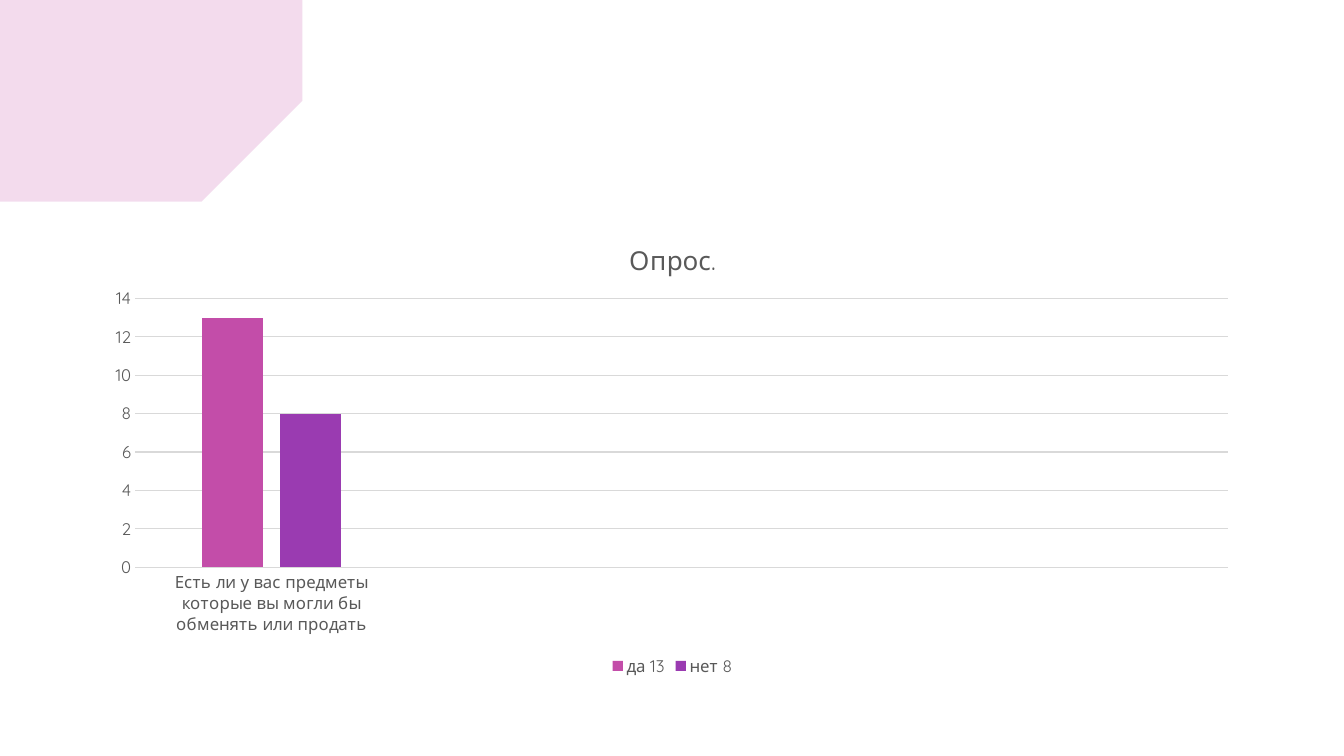
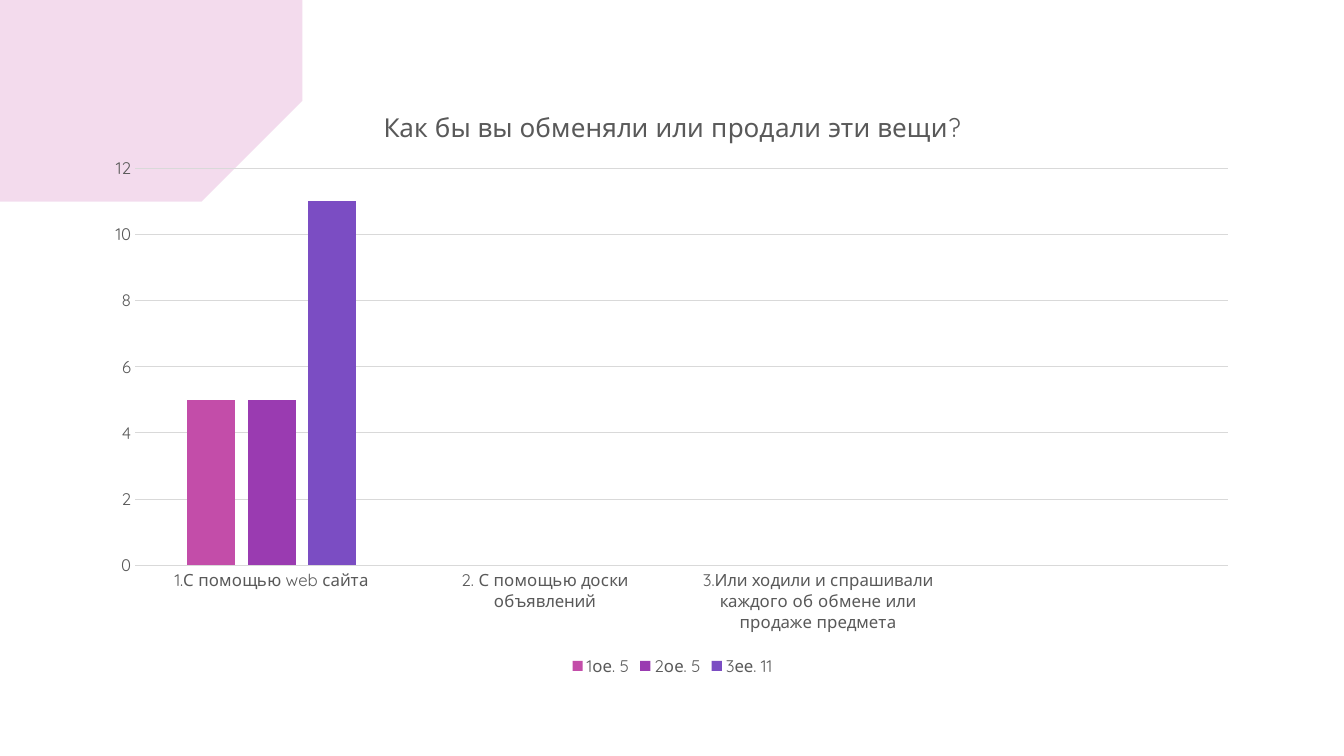
from pptx import Presentation
from pptx.chart.data import CategoryChartData
from pptx.dml.color import RGBColor
from pptx.enum.chart import XL_CHART_TYPE, XL_LEGEND_POSITION, XL_TICK_MARK
from pptx.oxml import parse_xml
from pptx.oxml.ns import nsdecls, qn
from pptx.util import Inches, Pt
from lxml.etree import SubElement

FONT = "Quicksand"
COLORS = {
    "pink": "C34DA9",
    "purple": "9A3BB1",
    "violet": "7B4DC3",
    "text": "595959",
    "grid": "D9D9D9",
}
SERIES_COLORS = ["pink", "purple", "violet"]
CATEGORY_COUNT = 4
CHART_LEFT, CHART_WIDTH, CHART_BOTTOM = 0.92, 11.5, 6.75
PLOT_LEFT, PLOT_WIDTH = 1.34, 10.84

BRUSH_START = (0, 0.34)
BRUSH_EDGE = [
    (0.25, 0.37), (0.66, 0.38), (1.51, 0.38), (1.94, 0.41), (2.68, 0.41),
    (2.8, 0.47), (2.55, 0.54), (2.62, 0.62), (2.38, 0.66), (2.75, 0.74),
    (2.51, 0.75), (2.8, 0.82), (2.9, 0.85), (2.63, 0.88), (3.3, 0.94),
    (3.21, 0.97), (3.18, 1.06), (3.07, 1.11), (2.83, 1.16), (2.74, 1.28),
    (3.08, 1.28), (2.69, 1.38), (2.73, 1.42), (2.52, 1.48), (2.63, 1.48),
    (1.97, 1.72), (1.02, 1.88), (0.65, 1.91), (0, 1.88),
]


def color(name):
    return RGBColor.from_string(COLORS[name])


def add_brush_stroke(page):
    builder = page.shapes.build_freeform(*BRUSH_START, scale=Inches(1))
    builder.add_line_segments(BRUSH_EDGE, close=True)
    stroke = builder.convert_to_shape()
    stroke.shadow.inherit = False
    stroke.line.fill.background()
    stroke.fill.solid()
    stroke.fill.fore_color.rgb = color("pink")
    fill = stroke.fill._xPr.find(qn("a:solidFill"))
    SubElement(fill[0], qn("a:alpha")).set("val", "20000")


def style_font(font, size):
    font.name = FONT
    font.size = Pt(size)
    font.bold = False
    font.color.rgb = color("text")


def style_line(line):
    line.color.rgb = color("grid")
    line.width = Pt(0.75)


def style_axes(chart, maximum):
    for axis in (chart.category_axis, chart.value_axis):
        axis.major_tick_mark = XL_TICK_MARK.NONE
        axis.minor_tick_mark = XL_TICK_MARK.NONE
        style_font(axis.tick_labels.font, 12)
    style_line(chart.category_axis.format.line)
    values = chart.value_axis
    values.format.line.fill.background()
    style_line(values.major_gridlines.format.line)
    values.minimum_scale, values.maximum_scale = 0, maximum
    values.major_unit = 2


def place_plot(chart, x, y, width, height):
    area = chart._chartSpace.find(qn("c:chart")).find(qn("c:plotArea"))
    for layout in area.findall(qn("c:layout")):
        area.remove(layout)
    area.insert(0, parse_xml(
        f'<c:layout {nsdecls("c")}><c:manualLayout>'
        '<c:layoutTarget val="inner"/>'
        '<c:xMode val="edge"/><c:yMode val="edge"/>'
        f'<c:x val="{x:.4f}"/><c:y val="{y:.4f}"/>'
        f'<c:w val="{width:.4f}"/><c:h val="{height:.4f}"/>'
        '</c:manualLayout></c:layout>'))


def add_survey_chart(page, title, categories, answers, top, plot_top,
                     plot_bottom, maximum):
    data = CategoryChartData()
    blanks = [""] * (CATEGORY_COUNT - len(categories))
    data.categories = categories + blanks
    for name, votes in answers:
        data.add_series(name, [votes] + [None] * (CATEGORY_COUNT - 1))
    height = CHART_BOTTOM - top
    chart = page.shapes.add_chart(
        XL_CHART_TYPE.COLUMN_CLUSTERED, Inches(CHART_LEFT), Inches(top),
        Inches(CHART_WIDTH), Inches(height), data).chart
    style_font(chart.font, 12)

    chart.has_title = True
    chart.chart_title.include_in_layout = False
    paragraph = chart.chart_title.text_frame.paragraphs[0]
    paragraph.text = title
    style_font(paragraph.runs[0].font, 18.6)

    chart.has_legend = True
    chart.legend.position = XL_LEGEND_POSITION.BOTTOM
    chart.legend.include_in_layout = False
    style_font(chart.legend.font, 12)

    plot = chart.plots[0]
    plot.gap_width, plot.overlap = 219, -27
    plot.vary_by_categories = False
    for series, name in zip(plot.series, SERIES_COLORS):
        series.format.fill.solid()
        series.format.fill.fore_color.rgb = color(name)
    style_axes(chart, maximum)
    place_plot(chart, (PLOT_LEFT - CHART_LEFT) / CHART_WIDTH,
               (plot_top - top) / height, PLOT_WIDTH / CHART_WIDTH,
               (plot_bottom - plot_top) / height)


def add_page(deck):
    page = deck.slides.add_slide(deck.slide_layouts[6])
    add_brush_stroke(page)
    return page


def main():
    deck = Presentation()
    deck.slide_width, deck.slide_height = Inches(13.33), Inches(7.5)

    add_survey_chart(
        add_page(deck), "Опрос.",
        ["Есть ли у вас предметы которые вы могли бы обменять или продать"],
        [("да 13", 13), ("нет 8", 8)],
        top=2.2, plot_top=2.96, plot_bottom=5.63, maximum=14)

    add_survey_chart(
        add_page(deck), "Как бы вы обменяли или продали эти вещи?",
        ["1.С помощью web сайта",
         "2. С помощью доски объявлений",
         "3.Или ходили и спрашивали каждого об обмене или продаже предмета"],
        [("1ое. 5", 5), ("2ое. 5", 5), ("3ее. 11", 11)],
        top=0.86, plot_top=1.67, plot_bottom=5.61, maximum=12)

    deck.save("out.pptx")


if __name__ == "__main__":
    main()
